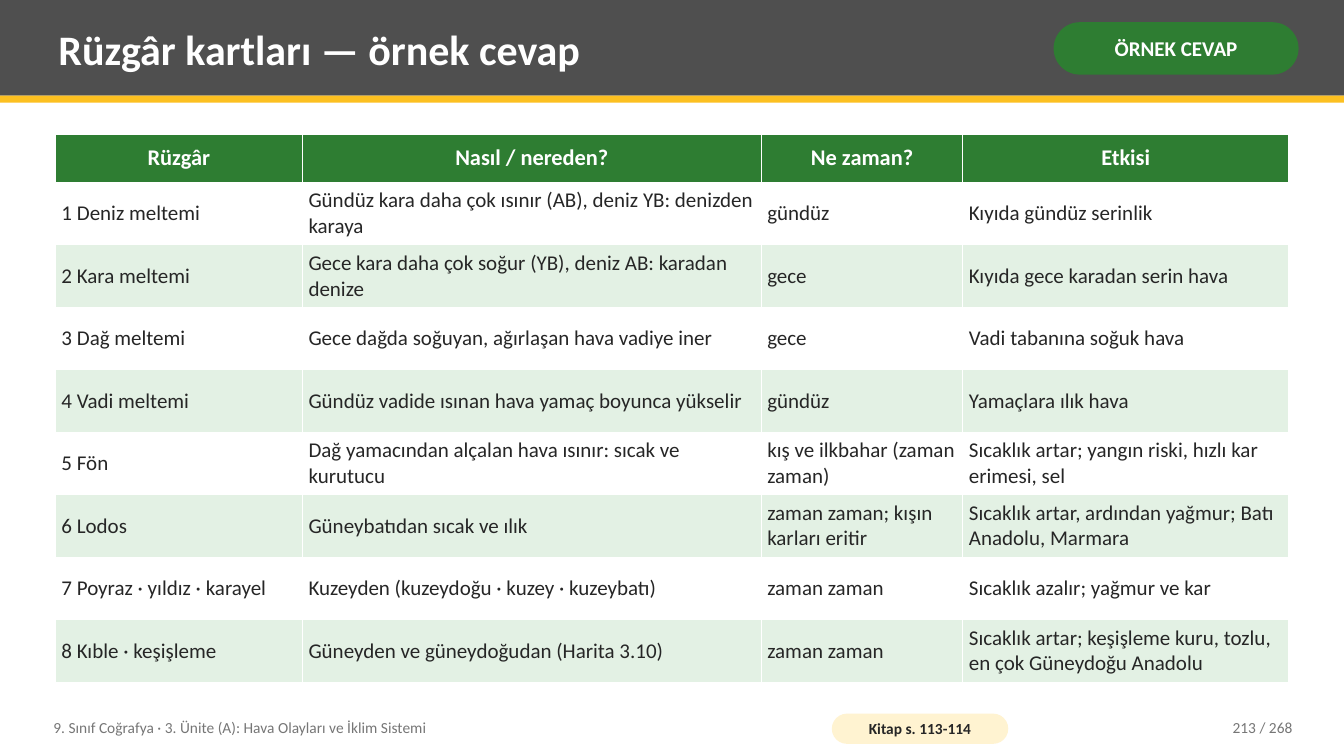
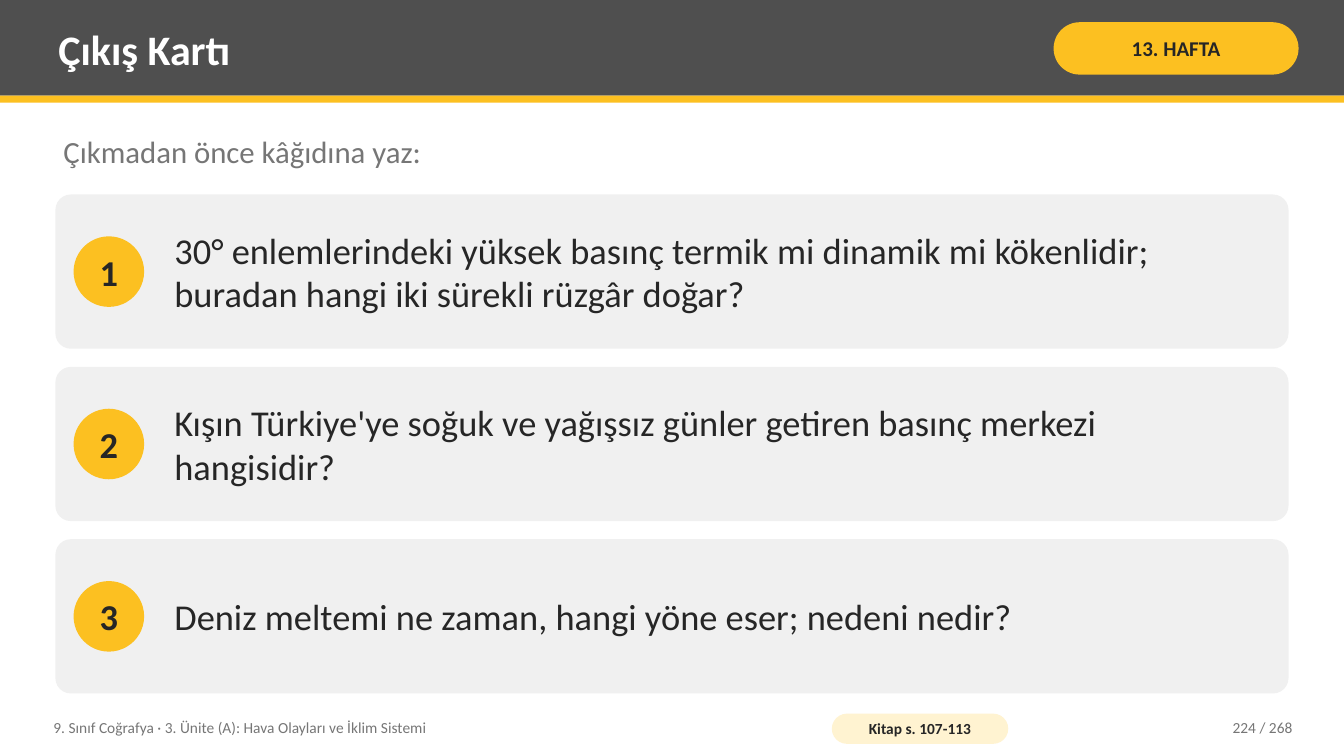
"""Build two geography lesson slides: a table of winds and an exit card."""
from lxml import etree
from pptx import Presentation
from pptx.dml.color import RGBColor
from pptx.enum.shapes import MSO_SHAPE
from pptx.enum.text import MSO_ANCHOR, PP_ALIGN
from pptx.oxml.ns import qn
from pptx.util import Inches, Pt

RECT, PILL, OVAL = MSO_SHAPE.RECTANGLE, MSO_SHAPE.ROUNDED_RECTANGLE, MSO_SHAPE.OVAL
LEFT, CENTER, RIGHT = PP_ALIGN.LEFT, PP_ALIGN.CENTER, PP_ALIGN.RIGHT
TOP, MIDDLE = MSO_ANCHOR.TOP, MSO_ANCHOR.MIDDLE

WHITE = RGBColor(0xFF, 0xFF, 0xFF)
INK = RGBColor(0x26, 0x26, 0x26)
MUTED = RGBColor(0x76, 0x76, 0x76)
BAND = RGBColor(0x4F, 0x4F, 0x4F)
YELLOW = RGBColor(0xFC, 0xC0, 0x21)
CREAM = RGBColor(0xFF, 0xF3, 0xD1)
GREEN = RGBColor(0x2E, 0x7D, 0x32)
MINT = RGBColor(0xE3, 0xF1, 0xE4)
PANEL = RGBColor(0xF0, 0xF0, 0xF0)

FONT = "Calibri"
UNIT = "9. Sınıf Coğrafya · 3. Ünite (A): Hava Olayları ve İklim Sistemi"
MARGIN, CONTENT_WIDTH = 0.55, 12.23


def write(frame, text, size, color, bold=False, align=LEFT):
    """Put one formatted run in the first paragraph of a frame."""
    para = frame.paragraphs[0]
    para.alignment = align
    span = para.add_run()
    span.text = text
    span.font.name = FONT
    span.font.size = Pt(size)
    span.font.bold = bold
    span.font.color.rgb = color


def add_box(page, at, kind=None, fill=None, corner=None, insets=(0.08, 0.04), anchor=MIDDLE, wrap=True):
    """Add a text box, or a filled shape if a kind is given, and return its frame."""
    place = [Inches(length) for length in at]
    if kind is None:
        box = page.shapes.add_textbox(*place)
    else:
        box = page.shapes.add_shape(kind, *place)
        box.shadow.inherit = False
        box.fill.solid()
        box.fill.fore_color.rgb = fill
        box.line.fill.background()
    if corner is not None:
        box.adjustments[0] = corner
    frame = box.text_frame
    frame.word_wrap = wrap
    frame.vertical_anchor = anchor
    frame.margin_left = frame.margin_right = Inches(insets[0])
    frame.margin_top = frame.margin_bottom = Inches(insets[1])
    return frame


deck = Presentation()
deck.slide_width = Inches(13.33)
deck.slide_height = Inches(7.5)

HEADINGS = [
    ("Rüzgâr kartları — örnek cevap", "ÖRNEK CEVAP", GREEN, WHITE, "Kitap s. 113-114", "213 / 268"),
    ("Çıkış Kartı", "13. HAFTA", YELLOW, INK, "Kitap s. 107-113", "224 / 268"),
]
pages = []
for title, tag, tag_fill, tag_color, book_pages, number in HEADINGS:
    page = deck.slides.add_slide(deck.slide_layouts[6])
    add_box(page, (0, 0, 13.33, 0.95), RECT, BAND)
    add_box(page, (0, 0.95, 13.33, 0.07), RECT, YELLOW)
    write(add_box(page, (0.5, 0.07, 9.75, 0.82)), title, 30, WHITE, True)
    tag_frame = add_box(page, (10.45, 0.22, 2.43, 0.52), PILL, tag_fill, 0.5, (0.05, 0.02))
    write(tag_frame, tag, 15, tag_color, True, CENTER)
    write(add_box(page, (0.45, 7.04, 7.6, 0.36)), UNIT, 11, MUTED)
    book_frame = add_box(page, (8.25, 7.08, 1.75, 0.3), PILL, CREAM, 0.5, (0.04, 0))
    write(book_frame, book_pages, 11, INK, True, CENTER)
    write(add_box(page, (11.3, 7.04, 1.6, 0.36)), number, 11, MUTED, align=RIGHT)
    pages.append(page)
wind_page, exit_page = pages

WINDS = [
    ("Rüzgâr", "Nasıl / nereden?", "Ne zaman?", "Etkisi"),
    ("1 Deniz meltemi", "Gündüz kara daha çok ısınır (AB), deniz YB: denizden karaya",
     "gündüz", "Kıyıda gündüz serinlik"),
    ("2 Kara meltemi", "Gece kara daha çok soğur (YB), deniz AB: karadan denize",
     "gece", "Kıyıda gece karadan serin hava"),
    ("3 Dağ meltemi", "Gece dağda soğuyan, ağırlaşan hava vadiye iner",
     "gece", "Vadi tabanına soğuk hava"),
    ("4 Vadi meltemi", "Gündüz vadide ısınan hava yamaç boyunca yükselir",
     "gündüz", "Yamaçlara ılık hava"),
    ("5 Fön", "Dağ yamacından alçalan hava ısınır: sıcak ve kurutucu",
     "kış ve ilkbahar (zaman zaman)", "Sıcaklık artar; yangın riski, hızlı kar erimesi, sel"),
    ("6 Lodos", "Güneybatıdan sıcak ve ılık",
     "zaman zaman; kışın karları eritir", "Sıcaklık artar, ardından yağmur; Batı Anadolu, Marmara"),
    ("7 Poyraz · yıldız · karayel", "Kuzeyden (kuzeydoğu · kuzey · kuzeybatı)",
     "zaman zaman", "Sıcaklık azalır; yağmur ve kar"),
    ("8 Kıble · keşişleme", "Güneyden ve güneydoğudan (Harita 3.10)",
     "zaman zaman", "Sıcaklık artar; keşişleme kuru, tozlu, en çok Güneydoğu Anadolu"),
]
COLUMN_WIDTHS = (2.45, 4.55, 2, 3.23)
HEADER_HEIGHT, ROW_HEIGHT = 0.48, 0.62

table = wind_page.shapes.add_table(
    len(WINDS), len(COLUMN_WIDTHS), Inches(MARGIN), Inches(1.33), Inches(CONTENT_WIDTH), Inches(5.44)).table
table.horz_banding = False
for column, width in zip(table.columns, COLUMN_WIDTHS):
    column.width = Inches(width)
for row_index, wind in enumerate(WINDS):
    header = row_index == 0
    table.rows[row_index].height = Inches(HEADER_HEIGHT if header else ROW_HEIGHT)
    row_fill = GREEN if header else (WHITE if row_index % 2 else MINT)
    for column_index, text in enumerate(wind):
        cell = table.cell(row_index, column_index)
        cell.vertical_anchor = MIDDLE
        cell.margin_left = cell.margin_right = Inches(0.06)
        cell.margin_top = cell.margin_bottom = Inches(0.05)
        properties = cell._tc.get_or_add_tcPr()
        for side in ("a:lnL", "a:lnR", "a:lnT", "a:lnB"):
            border = etree.SubElement(properties, qn(side), w=str(Pt(0.96)))
            paint = etree.SubElement(border, qn("a:solidFill"))
            etree.SubElement(paint, qn("a:srgbClr"), val=str(WHITE))
        cell.fill.solid()
        cell.fill.fore_color.rgb = row_fill
        if header:
            write(cell.text_frame, text, 16, WHITE, True, CENTER)
        else:
            write(cell.text_frame, text, 15, INK)

QUESTIONS = [
    "30° enlemlerindeki yüksek basınç termik mi dinamik mi kökenlidir; buradan hangi iki sürekli rüzgâr doğar?",
    "Kışın Türkiye'ye soğuk ve yağışsız günler getiren basınç merkezi hangisidir?",
    "Deniz meltemi ne zaman, hangi yöne eser; nedeni nedir?",
]
CARD_TOP, CARD_HEIGHT, CARD_GAP, BADGE = 1.93, 1.53, 0.18, 0.7

prompt_frame = add_box(exit_page, (MARGIN, 1.28, CONTENT_WIDTH, 0.55), anchor=TOP)
write(prompt_frame, "Çıkmadan önce kâğıdına yaz:", 22, MUTED)
for index, question in enumerate(QUESTIONS):
    top = CARD_TOP + index * (CARD_HEIGHT + CARD_GAP)
    badge_top = top + (CARD_HEIGHT - BADGE) / 2
    add_box(exit_page, (MARGIN, top, CONTENT_WIDTH, CARD_HEIGHT), PILL, PANEL, 0.1)
    badge_frame = add_box(exit_page, (0.73, badge_top, BADGE, BADGE), OVAL, YELLOW, insets=(0, 0), wrap=False)
    write(badge_frame, str(index + 1), 26, INK, True, CENTER)
    write(add_box(exit_page, (1.65, top, 10.93, CARD_HEIGHT)), question, 26, INK)

deck.save("out.pptx")
